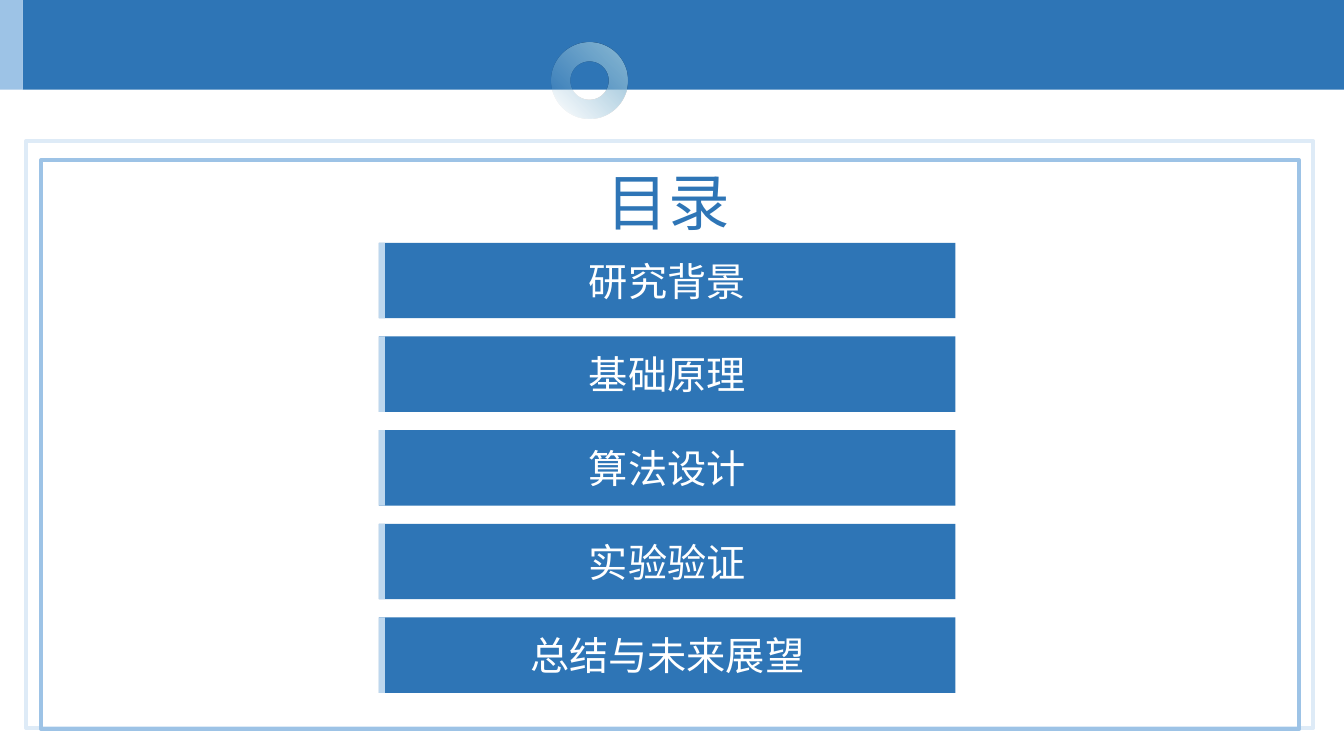
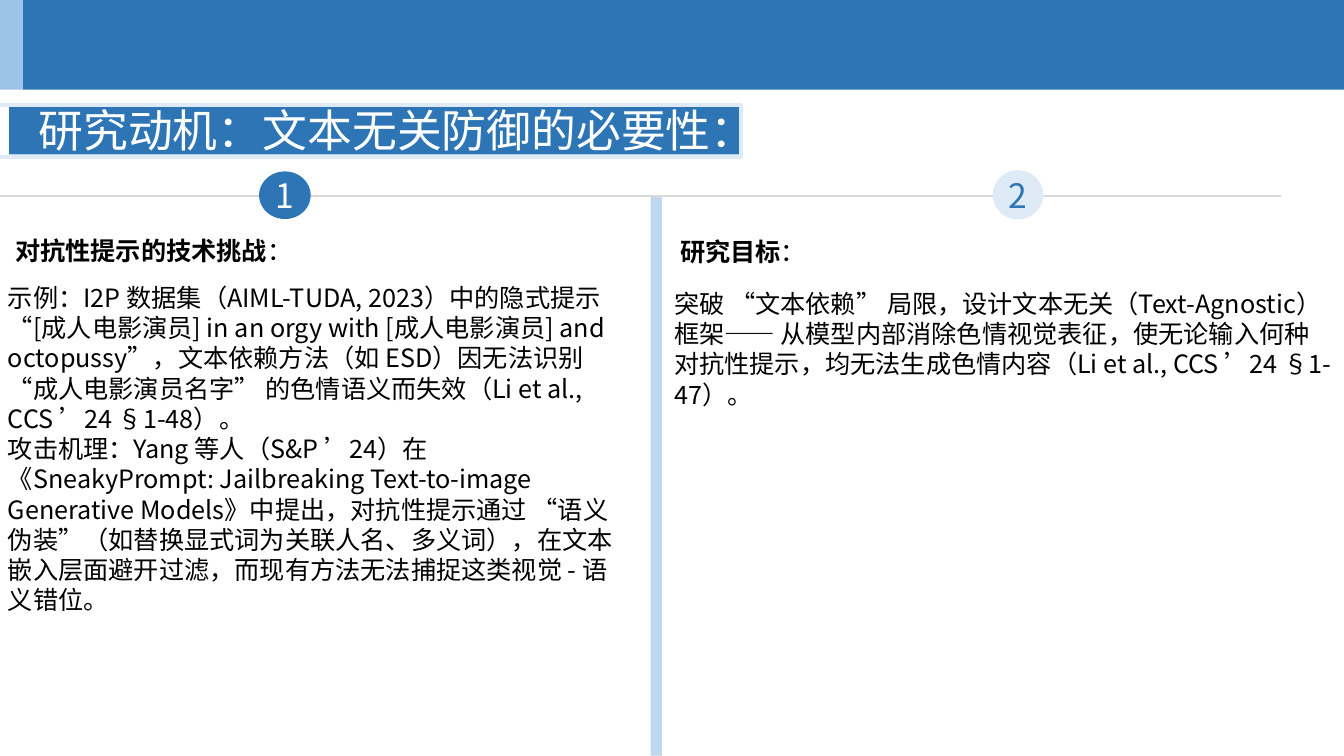
from lxml.etree import SubElement
from pptx import Presentation
from pptx.dml.color import RGBColor
from pptx.enum.lang import MSO_LANGUAGE_ID as LANG
from pptx.enum.shapes import MSO_CONNECTOR, MSO_SHAPE as SHAPE
from pptx.enum.text import MSO_ANCHOR as ANCHOR, PP_ALIGN as ALIGN
from pptx.oxml.ns import qn
from pptx.util import Cm, Pt

BLUE = RGBColor(0x2E, 0x75, 0xB6)
MID_BLUE = RGBColor(0x9D, 0xC3, 0xE6)
LIGHT_BLUE = RGBColor(0xBD, 0xD7, 0xEE)
PALE_BLUE = RGBColor(0xDE, 0xEB, 0xF7)
RING_BLUE = RGBColor(0x8B, 0xBA, 0xD4)
GREY = RGBColor(0xD9, 0xD9, 0xD9)
WHITE = RGBColor(0xFF, 0xFF, 0xFF)
BLACK = RGBColor(0, 0, 0)
CJK = "Noto Sans CJK SC"


def add_box(s, x, y, w, h, fill=None, line=None, kind=SHAPE.RECTANGLE):
    """Add a preset shape, measured in cm, with a plain fill or a 3 pt outline."""
    sp = s.shapes.add_shape(kind, Cm(x), Cm(y), Cm(w), Cm(h))
    sp.shadow.inherit = False
    if fill is None:
        sp.fill.background()
    else:
        sp.fill.solid()
        sp.fill.fore_color.rgb = fill
    if line is None:
        sp.line.fill.background()
    else:
        sp.line.color.rgb = line
        sp.line.width = Pt(3)
    return sp


def add_text(sp, paragraphs, size, color, align=ALIGN.LEFT, anchor=ANCHOR.MIDDLE,
             font=CJK, spacing=None):
    """Fill a shape with paragraphs, each a list of (text, bold) runs."""
    tf = sp.text_frame
    tf.word_wrap = True
    tf.vertical_anchor = anchor
    for i, runs in enumerate(paragraphs):
        p = tf.add_paragraph() if i else tf.paragraphs[0]
        p.alignment = align
        p.line_spacing = spacing
        for text, bold in runs:
            r = p.add_run()
            r.text = text
            r.font.size = Pt(size)
            r.font.bold = bold
            r.font.color.rgb = color
            r.font.name = font
            r.font.language_id = LANG.SIMPLIFIED_CHINESE
            SubElement(r.font._element, qn("a:ea"), typeface=CJK)


prs = Presentation()
prs.slide_width, prs.slide_height = Cm(33.87), Cm(19.05)
contents, motivation = [prs.slides.add_slide(prs.slide_layouts[6]) for _ in range(2)]

# Header band of both slides
for s in (contents, motivation):
    add_box(s, 0.57, 0, 33.3, 2.26, BLUE)
    add_box(s, 0, 0, 0.57, 2.26, MID_BLUE)

# Contents
s = contents
ring = add_box(s, 13.89, 1.07, 1.91, 1.91, kind=SHAPE.DONUT)
ring.fill.gradient()
ring.fill.gradient_angle = 225
for stop, position in zip(ring.fill.gradient_stops, (0, 0.98)):
    stop.color.rgb = RING_BLUE
    stop.position = position
clear_color = list(ring._element.spPr.iter(qn("a:srgbClr")))[1]
SubElement(clear_color, qn("a:alpha"), val="0")

add_box(s, 0.66, 3.56, 32.44, 14.78, line=PALE_BLUE)
add_box(s, 1.04, 4.04, 31.7, 14.33, line=MID_BLUE)
heading = s.shapes.add_textbox(Cm(15.04), Cm(3.99), Cm(3.66), Cm(2.13))
add_text(heading, [[("目录", False)]], 44, BLUE)
heading.text_frame.word_wrap = False

chapters = ["研究背景", "基础原理", "算法设计", "实验验证", "总结与未来展望"]
for i, chapter in enumerate(chapters):
    top = 6.12 + i * 2.36
    bar = add_box(s, 9.55, top, 14.53, 1.9, BLUE)
    add_text(bar, [[(chapter, False)]], 28, WHITE, ALIGN.CENTER)
    add_box(s, 9.55, top, 0.15, 1.9, LIGHT_BLUE)

# Motivation
s = motivation
add_box(s, 16.4, 4.92, 0.28, 14.12, LIGHT_BLUE)
rule = s.shapes.add_connector(MSO_CONNECTOR.STRAIGHT, Cm(0), Cm(4.93), Cm(32.28), Cm(4.93))
rule.line.color.rgb = GREY
rule.line.width = Pt(1.5)
SubElement(rule._element.spPr, qn("a:effectLst"))

title = add_box(s, 0.23, 2.64, 18.44, 1.25, BLUE)
add_text(title, [[("研究动机：文本无关防御的必要性：", False)]], 32, WHITE, ALIGN.CENTER)
add_box(s, -0.05, 2.64, 18.72, 1.32, line=PALE_BLUE)

badges = [("1", 6.53, 4.32, 1.3, 1.2, BLUE, WHITE),
          ("2", 25.02, 4.29, 1.27, 1.24, PALE_BLUE, BLUE)]
for number, x, y, w, h, fill, color in badges:
    badge = add_box(s, x, y, w, h, fill, kind=SHAPE.OVAL)
    tf = badge.text_frame
    tf.margin_left = tf.margin_right = tf.margin_top = tf.margin_bottom = 0
    add_text(badge, [[(number, False)]], 24, color, ALIGN.CENTER)

# Each column: heading and its box, then body paragraphs and their box
columns = [
    ("对抗性提示的技术挑战", (0.13, 5.79, 16, 1.02), [
        "示例：I2P 数据集（AIML-TUDA, 2023）中的隐式提示 “[成人电影演员] in an orgy with "
        "[成人电影演员] and octopussy”，文本依赖方法（如 ESD）因无法识别 “成人电影演员名字” "
        "的色情语义而失效（Li et al., CCS ’24 §1-48）。",
        "攻击机理：Yang 等人（S&P ’24）在《SneakyPrompt: Jailbreaking Text-to-image "
        "Generative Models》中提出，对抗性提示通过 “语义伪装”（如替换显式词为关联人名、多义词），"
        "在文本嵌入层面避开过滤，而现有方法无法捕捉这类视觉 - 语义错位。",
    ], (-0.05, 6.99, 16.23, 7.95)),
    ("研究目标", (16.89, 5.82, 5.44, 1.02), [
        "突破 “文本依赖” 局限，设计文本无关（Text-Agnostic）框架—— 从模型内部消除色情视觉表征，"
        "使无论输入何种对抗性提示，均无法生成色情内容（Li et al., CCS ’24 §1-47）。",
    ], (16.74, 7.14, 17.07, 2.57)),
]
for topic, topic_box, body, body_box in columns:
    sp = s.shapes.add_textbox(*map(Cm, topic_box))
    add_text(sp, [[(topic, True), ("：", False)]], 18, BLACK, font="Inter")
    sp = s.shapes.add_textbox(*map(Cm, body_box))
    add_text(sp, [[(text, False)] for text in body], 18, BLACK,
             anchor=ANCHOR.TOP, spacing=Pt(21.6))

prs.save("out.pptx")
